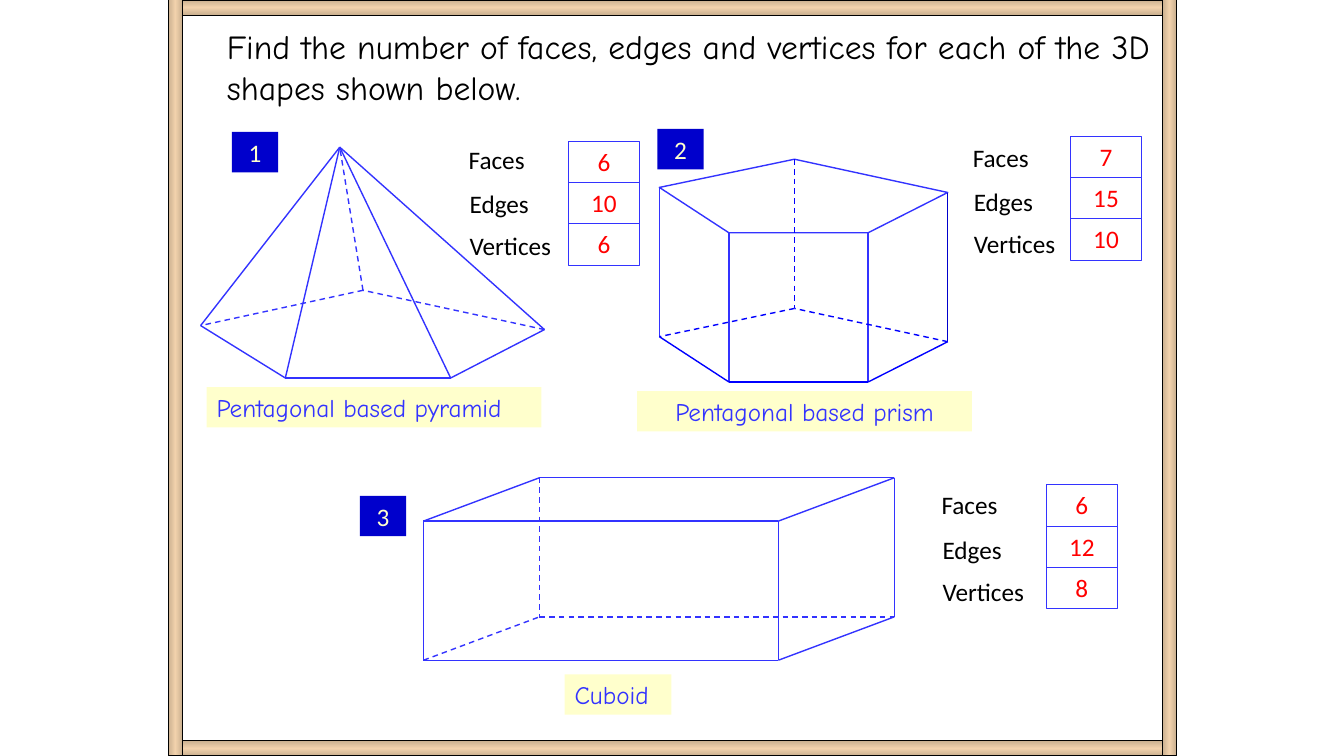
from copy import deepcopy

from lxml import etree
from pptx import Presentation
from pptx.dml.color import RGBColor
from pptx.enum.dml import MSO_LINE
from pptx.enum.shapes import MSO_CONNECTOR, MSO_SHAPE
from pptx.enum.text import MSO_ANCHOR, MSO_AUTO_SIZE, PP_ALIGN
from pptx.oxml.ns import qn
from pptx.util import Inches, Pt

STRAIGHT = MSO_CONNECTOR.STRAIGHT
RECTANGLE = MSO_SHAPE.RECTANGLE
DASH = MSO_LINE.DASH
LEFT, CENTER = PP_ALIGN.LEFT, PP_ALIGN.CENTER
TOP = MSO_ANCHOR.TOP
FIT_SHAPE = MSO_AUTO_SIZE.SHAPE_TO_FIT_TEXT

BLACK = RGBColor(0x00, 0x00, 0x00)
WHITE = RGBColor(0xFF, 0xFF, 0xFF)
RED = RGBColor(0xFF, 0x00, 0x00)
NAVY = RGBColor(0x00, 0x00, 0xCC)
BLUE = RGBColor(0x00, 0x00, 0xFF)
VIOLET = RGBColor(0x33, 0x33, 0xFF)
CREAM = RGBColor(0xFF, 0xFF, 0xCC)
WOOD = RGBColor(0xCA, 0xB0, 0x90)
LIGHT_WOOD = RGBColor(0xF2, 0xD2, 0xAC)

SANS = "Calibri"
HANDWRITING = "Comic Neue"
PROPERTY_ROWS = [("Faces", 0, 0, 0.96), ("Edges", 0.01, 0.44, 0.96),
                 ("Vertices", 0.01, 0.86, 1.14)]
ANSWER_STEP = 0.41


def write_text(shape, text, font=SANS, size=18, color=BLACK, align=LEFT):
    """Put one formatted paragraph into a shape."""
    frame = shape.text_frame
    frame.word_wrap = True
    frame.auto_size = FIT_SHAPE
    frame.vertical_anchor = TOP
    paragraph = frame.paragraphs[0]
    paragraph.alignment = align
    paragraph.space_before = Pt(0)
    run = paragraph.add_run()
    run.text = text
    run.font.name = font
    run.font.size = Pt(size)
    run.font.color.rgb = color


def add_box(slide, left, top, width, height, fill=None, line=None):
    """Add a flat rectangle with an optional fill and thin outline."""
    shape = slide.shapes.add_shape(
        RECTANGLE, Inches(left), Inches(top), Inches(width), Inches(height))
    shape.shadow.inherit = False
    if fill is not None:
        shape.fill.solid()
        shape.fill.fore_color.rgb = fill
    if line is None:
        shape.line.fill.background()
    else:
        shape.line.color.rgb = line
        shape.line.width = Pt(0.75)
    return shape


def add_edge(group, start, end, color=VIOLET, hidden=False):
    """Draw one edge of a solid, dashed when it is hidden."""
    edge = group.shapes.add_connector(
        STRAIGHT, *(Inches(length) for length in (*start, *end)))
    edge.line.color.rgb = color
    edge.line.width = Pt(1)
    if hidden:
        edge.line.dash_style = DASH
    etree.SubElement(edge._element.spPr, qn("a:effectLst"))


def add_outline(group, points):
    """Draw a closed, unfilled polygon."""
    corners = [(Inches(x), Inches(y)) for x, y in points]
    builder = group.shapes.build_freeform(*corners[0], scale=1.0)
    builder.add_line_segments(corners[1:], close=True)
    outline = builder.convert_to_shape()
    outline.shadow.inherit = False
    outline.fill.background()
    outline.line.color.rgb = VIOLET
    outline.line.width = Pt(1)


def draw_pyramid(slide):
    """Draw the pentagonal based pyramid."""
    group = slide.shapes.add_group_shape()
    apex = (3.37, 1.46)
    base = [(2.83, 3.75), (4.47, 3.75), (5.4, 3.27), (3.6, 2.88), (1.99, 3.23)]
    back = base[3]
    for start, end in zip(base, base[1:] + base[:1]):
        add_edge(group, start, end, hidden=back in (start, end))
    for corner in base:
        add_edge(group, corner, apex, hidden=corner == back)


def draw_prism(slide):
    """Draw the pentagonal based prism."""
    group = slide.shapes.add_group_shape()
    height = 1.48
    top = [(7.23, 2.31), (8.61, 2.31), (9.4, 1.91), (7.88, 1.58), (6.54, 1.86)]
    base = [(x, y + height) for x, y in top]
    back = base[3]
    add_outline(group, top)
    upright_colors = [VIOLET, VIOLET, NAVY, BLUE, VIOLET]
    for upper, lower, color in zip(top, base, upright_colors):
        add_edge(group, upper, lower, color, hidden=lower == back)
    for start, end in zip(base, base[1:] + base[:1]):
        add_edge(group, start, end, BLUE, hidden=back in (start, end))


def draw_cuboid(slide):
    """Draw the cuboid from its front face and a depth offset."""
    group = slide.shapes.add_group_shape()
    front = [(4.2, 6.55), (7.72, 6.55), (7.72, 5.17), (4.2, 5.17)]
    rear = [(x + 1.15, y - 0.43) for x, y in front]
    back = rear[0]
    for face in (front, rear):
        for start, end in zip(face, face[1:] + face[:1]):
            add_edge(group, start, end, hidden=back in (start, end))
    for near, far in zip(front, rear):
        add_edge(group, near, far, hidden=far == back)


def add_number(slide, number, left, top):
    """Add the numbered badge of a question."""
    badge = add_box(slide, left, top, 0.46, 0.4, NAVY)
    write_text(badge, number, color=CREAM, align=CENTER)


def add_solid_name(slide, name, left, top, width, align=LEFT):
    """Add the highlighted name of a solid."""
    label = add_box(slide, left, top, width, 0.4, CREAM)
    write_text(label, name, font=HANDWRITING, color=VIOLET, align=align)


def add_answers(slide, label_left, label_top, box_left, box_top, values):
    """Add the property labels and their column of answer boxes."""
    for row, (name, shift, drop, width) in enumerate(PROPERTY_ROWS):
        label = slide.shapes.add_textbox(
            Inches(label_left + shift), Inches(label_top + drop),
            Inches(width), Inches(0.4))
        write_text(label, name)
        box = add_box(slide, box_left, box_top + row * ANSWER_STEP, 0.7,
                      ANSWER_STEP, WHITE, VIOLET)
        write_text(box, values[row], color=RED, align=CENTER)


def add_frame_bar(slide, left, top, width, height, angle):
    """Add one wooden bar of the frame with a three-stop gradient."""
    bar = add_box(slide, left, top, width, height, line=BLACK)
    bar.fill.gradient()
    bar.fill.gradient_angle = angle
    stops = bar._element.spPr.find(".//" + qn("a:gsLst"))
    stops.insert(1, deepcopy(stops[0]))
    colors = (WOOD, LIGHT_WOOD, WOOD)
    for stop, position, color in zip(bar.fill.gradient_stops, (0, 0.5, 1), colors):
        stop.position = position
        stop.color.rgb = color


def main():
    """Build the slide and save it."""
    presentation = Presentation()
    presentation.slide_width = Inches(13.33)
    presentation.slide_height = Inches(7.5)
    slide = presentation.slides.add_slide(presentation.slide_layouts[5])

    title = slide.shapes.title
    title.left, title.top = Inches(2.15), Inches(0.21)
    title.width, title.height = Inches(9.52), Inches(0.91)
    write_text(title, "Find the number of faces, edges and vertices for each "
               "of the 3D shapes shown below.", font=HANDWRITING, size=24)

    draw_pyramid(slide)
    draw_prism(slide)
    draw_cuboid(slide)

    add_number(slide, "1", 2.3, 1.31)
    add_number(slide, "2", 6.52, 1.28)
    add_number(slide, "3", 3.57, 4.92)

    add_solid_name(slide, "Pentagonal based pyramid", 2.05, 3.84, 3.32)
    add_solid_name(slide, "Pentagonal based prism", 6.32, 3.88, 3.32, CENTER)
    add_solid_name(slide, "Cuboid", 5.6, 6.69, 1.06)

    add_answers(slide, 4.55, 1.38, 5.64, 1.4, ("6", "10", "6"))
    add_answers(slide, 9.55, 1.36, 10.62, 1.35, ("7", "15", "10"))
    add_answers(slide, 9.24, 4.81, 10.38, 4.81, ("6", "12", "8"))

    for top in (0, 7.35):
        add_frame_bar(slide, 1.67, top, 10, 0.15, 90)
    for left in (1.67, 11.53):
        add_frame_bar(slide, left, 0, 0.14, 7.5, 0)

    presentation.save("out.pptx")


if __name__ == "__main__":
    main()
